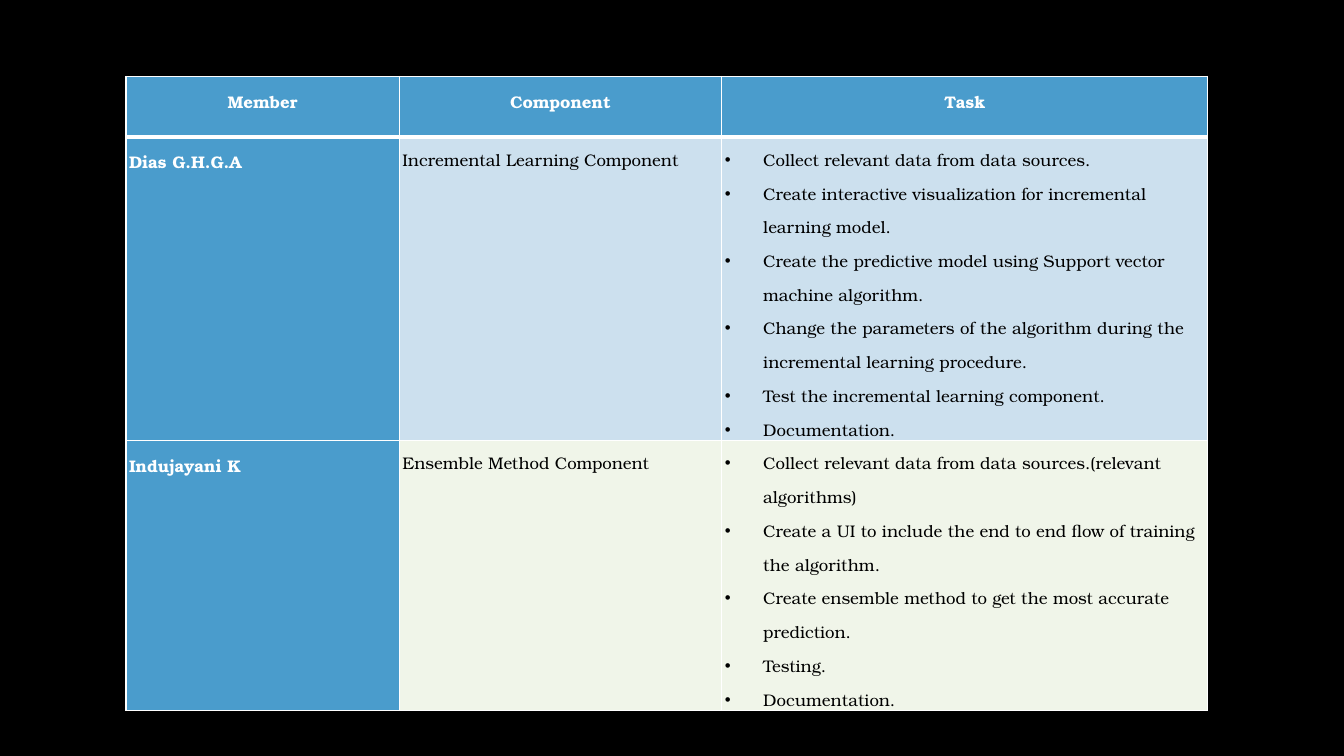
from typing import NamedTuple

from lxml.etree import SubElement
from pptx import Presentation
from pptx.dml.color import RGBColor
from pptx.enum.text import MSO_ANCHOR, PP_ALIGN
from pptx.oxml.ns import qn
from pptx.util import Inches, Pt

FONT = "TeX Gyre Bonum"
WHITE, BLACK, BLUE = "FFFFFF", "000000", "4A9CCC"


class Member(NamedTuple):
    name: str
    component: str
    fill: str
    tasks: list[str]


HEADERS = ["Member", "Component", "Task"]
MEMBERS = [
    Member("Dias G.H.G.A", "Incremental Learning Component", "CCE0EE", [
        "Collect relevant data from data sources.",
        "Create interactive visualization for incremental learning model.",
        "Create the predictive model using Support vector machine algorithm.",
        "Change the parameters of the algorithm during the incremental learning procedure.",
        "Test the incremental learning component.",
        "Documentation.",
    ]),
    Member("Indujayani K", "Ensemble Method Component", "F0F5E9", [
        "Collect relevant data from data sources.(relevant algorithms)",
        "Create a UI to include the end to end flow of training the algorithm.",
        "Create ensemble method to get the most accurate prediction.",
        "Testing.",
        "Documentation.",
    ]),
]
COLUMN_WIDTHS = [2.71, 3.2, 4.82]
ROW_HEIGHTS = [0.6, 2.89, 2.57]


def rgb(color: str) -> RGBColor:
    return RGBColor.from_string(color)


def set_borders(cell, top: float = 1, bottom: float = 1) -> None:
    tc_pr = cell._tc.get_or_add_tcPr()
    for side, width in {"L": 1, "R": 1, "T": top, "B": bottom}.items():
        ln = SubElement(tc_pr, qn(f"a:ln{side}"), w=str(Pt(width)))
        fill = SubElement(ln, qn("a:solidFill"))
        SubElement(fill, qn("a:srgbClr"), val=WHITE)


def add_bullet(p) -> None:
    p_pr = p._p.get_or_add_pPr()
    p_pr.set("marL", str(Inches(0.38)))
    p_pr.set("indent", str(-Inches(0.38)))
    SubElement(p_pr, qn("a:buFont"), typeface="Arial")
    SubElement(p_pr, qn("a:buChar"), char="•")


def fill_cell(cell, lines: list[str], fill: str, *, strong: bool = False,
              align: PP_ALIGN = PP_ALIGN.LEFT, bullets: bool = False,
              top: float = 1, bottom: float = 1) -> None:
    set_borders(cell, top, bottom)
    cell.fill.solid()
    cell.fill.fore_color.rgb = rgb(fill)
    cell.margin_left = cell.margin_right = Inches(0.03)
    cell.margin_top = cell.margin_bottom = 0
    cell.vertical_anchor = MSO_ANCHOR.TOP
    tf = cell.text_frame
    for i, line in enumerate(lines):
        p = tf.add_paragraph() if i else tf.paragraphs[0]
        p.alignment = align
        p.line_spacing = 1.5
        if bullets:
            add_bullet(p)
        r = p.add_run()
        r.text = line
        r.font.name = FONT
        r.font.size = Pt(12)
        r.font.bold = strong
        r.font.color.rgb = rgb(WHITE if strong else BLACK)


# Slide with a black background
prs = Presentation()
prs.slide_width, prs.slide_height = Inches(13.33), Inches(7.5)
s = prs.slides.add_slide(prs.slide_layouts[6])
s.background.fill.solid()
s.background.fill.fore_color.rgb = rgb(BLACK)

# Table grid
table = s.shapes.add_table(
    len(ROW_HEIGHTS), len(COLUMN_WIDTHS), Inches(1.25), Inches(0.76),
    Inches(sum(COLUMN_WIDTHS)), Inches(sum(ROW_HEIGHTS))).table
for column, width in zip(table.columns, COLUMN_WIDTHS):
    column.width = Inches(width)
for row, height in zip(table.rows, ROW_HEIGHTS):
    row.height = Inches(height)

# Header row
for col, header in enumerate(HEADERS):
    fill_cell(table.cell(0, col), [header], BLUE, strong=True,
              align=PP_ALIGN.CENTER, bottom=3)

# One row per member
for row, member in enumerate(MEMBERS, start=1):
    top = 3 if row == 1 else 1
    fill_cell(table.cell(row, 0), [member.name], BLUE, strong=True, top=top)
    fill_cell(table.cell(row, 1), [member.component], member.fill, top=top)
    fill_cell(table.cell(row, 2), member.tasks, member.fill, bullets=True, top=top)

prs.save("out.pptx")
